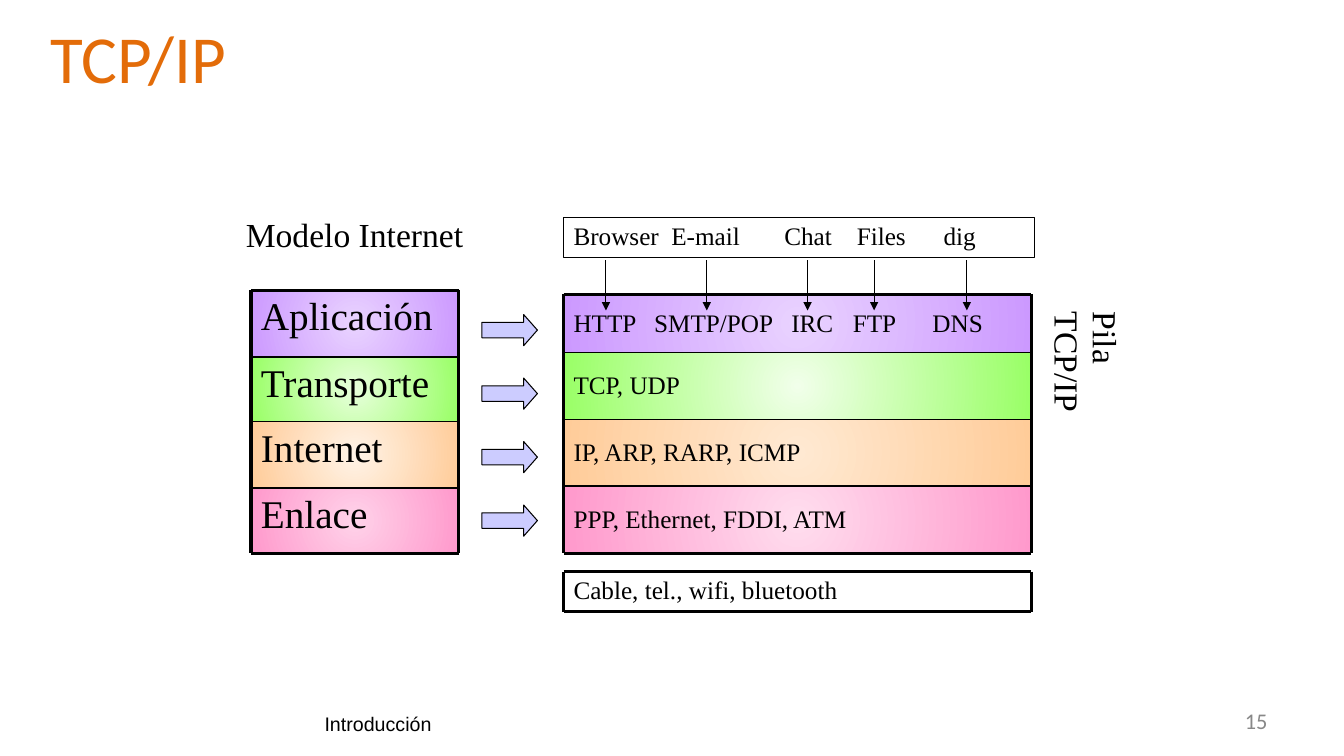
"""Build the slide that compares the Internet model with the TCP/IP stack."""
from lxml import etree
from pptx import Presentation
from pptx.dml.color import RGBColor
from pptx.enum import shapes, text
from pptx.oxml import ns
from pptx.util import Inches, Pt

BLACK = RGBColor(0x00, 0x00, 0x00)
ORANGE = RGBColor(0xE3, 0x6C, 0x09)
GREY = RGBColor(0x88, 0x88, 0x88)
LAVENDER = RGBColor(0xCC, 0xCC, 0xFF)
PURPLE = RGBColor(0xCC, 0x99, 0xFF)
GREEN = RGBColor(0x99, 0xFF, 0x66)
PEACH = RGBColor(0xFF, 0xCC, 0x99)
PINK = RGBColor(0xFF, 0x99, 0xCC)
PALE_PURPLE = RGBColor(0xE9, 0xD3, 0xFF)
PALE_GREEN = RGBColor(0xE7, 0xFF, 0xDB)
PALE_PEACH = RGBColor(0xFF, 0xF3, 0xE7)
PALE_PINK = RGBColor(0xFF, 0xD2, 0xE9)
STACK_PURPLE = RGBColor(0xE9, 0xD2, 0xFF)
STACK_GREEN = RGBColor(0xF1, 0xFF, 0xEA)
STACK_PEACH = RGBColor(0xFF, 0xE9, 0xD2)
STACK_PINK = RGBColor(0xFF, 0xDD, 0xEE)

TOP, MIDDLE, BOTTOM = (text.MSO_ANCHOR.TOP, text.MSO_ANCHOR.MIDDLE,
                       text.MSO_ANCHOR.BOTTOM)
STACK_LEFT, STACK_WIDTH = 5.59, 4.64


def child(parent, tag, **attributes):
    """Append a DrawingML element to its parent."""
    return etree.SubElement(parent, ns.qn(tag), attributes)


def write(shape, words, size=18, font="Times New Roman", color=BLACK,
          anchor=TOP, align=text.PP_ALIGN.LEFT, spacing=0.95, tabs=()):
    """Put one formatted paragraph into a shape."""
    frame = shape.text_frame
    frame.word_wrap = True
    frame.vertical_anchor = anchor
    paragraph = frame.paragraphs[0]
    paragraph.alignment = align
    paragraph.line_spacing = spacing
    if tabs:
        stops = child(paragraph._p.get_or_add_pPr(), "a:tabLst")
        for stop in tabs:
            child(stops, "a:tab", pos=str(Inches(stop)), algn="l")
    run = paragraph.add_run()
    run.text = words
    run.font.size = Pt(size)
    run.font.name = font
    run.font.color.rgb = color


def label(slide, box, words, rotation=0, **style):
    """Add a text box."""
    caption = slide.shapes.add_textbox(*map(Inches, box))
    caption.rotation = rotation
    write(caption, words, **style)


def block(slide, kind, box, fill=None, outlined=False):
    """Add a flat preset shape with an optional fill and thin outline."""
    shape = slide.shapes.add_shape(kind, *map(Inches, box))
    shape.shadow.inherit = False
    if fill is None:
        shape.fill.background()
    else:
        shape.fill.solid()
        shape.fill.fore_color.rgb = fill
    if outlined:
        shape.line.color.rgb = BLACK
        shape.line.width = Pt(0.75)
    else:
        shape.line.fill.background()
    return shape


def glow(shape, center, edge):
    """Fill a shape with a circular gradient."""
    shape.fill.gradient()
    for stop, color, position in zip(shape.fill.gradient_stops,
                                     (center, edge), (0, 1)):
        stop.color.rgb = color
        stop.position = position
    gradient = shape._element.spPr.find(ns.qn("a:gradFill"))
    gradient.remove(gradient.find(ns.qn("a:lin")))
    circle = child(gradient, "a:path", path="circle")
    child(circle, "a:fillToRect", l="50000", t="50000", r="50000", b="50000")


def line(slide, start, end, width, arrow=False):
    """Draw a black line, with an arrowhead at its end if asked."""
    connector = slide.shapes.add_connector(
        shapes.MSO_CONNECTOR.STRAIGHT, *map(Inches, start + end))
    connector.line.color.rgb = BLACK
    connector.line.width = Pt(width)
    if arrow:
        child(connector.line._get_or_add_ln(), "a:tailEnd", type="triangle")
    child(connector._element.spPr, "a:effectLst")


def layers(slide, left, width, edges, rows, **style):
    """Stack rows between the edges and rule them with a heavy frame."""
    for top, bottom, (words, colors, tabs) in zip(edges, edges[1:], rows):
        row = block(slide, shapes.MSO_SHAPE.RECTANGLE,
                    (left, top, width, bottom - top))
        if colors:
            glow(row, *colors)
        write(row, words, tabs=tabs, **style)
    right = left + width
    for y in edges:
        outer = y in (edges[0], edges[-1])
        line(slide, (left, y), (right, y), 2.25 if outer else 1)
    for x in (left, right):
        line(slide, (x, edges[0]), (x, edges[-1]), 2.25)


def main():
    """Build and save the slide."""
    deck = Presentation()
    deck.slide_width, deck.slide_height = Inches(13.33), Inches(7.5)
    slide = deck.slides.add_slide(deck.slide_layouts[6])

    label(slide, (0.4, 0.19, 8.47, 0.84), "TCP/IP", size=48, font="Calibri",
          color=ORANGE, anchor=MIDDLE, spacing=0.9)
    label(slide, (2.34, 2.1, 2.36, 0.5), "Modelo Internet", size=24)
    layers(slide, 2.49, 2.06, (2.88, 3.54, 4.18, 4.84, 5.49), (
        ("Aplicación", (PALE_PURPLE, PURPLE), ()),
        ("Transporte", (PALE_GREEN, GREEN), ()),
        ("Internet", (PALE_PEACH, PEACH), ()),
        ("Enlace", (PALE_PINK, PINK), ()),
    ), size=28)
    layers(slide, STACK_LEFT, STACK_WIDTH, (2.92, 3.5, 4.16, 4.82, 5.49), (
        ("HTTP\tSMTP/POP\tIRC\tFTP\tDNS", (STACK_PURPLE, PURPLE),
         (0.8, 2.16, 2.77, 3.56)),
        ("TCP, UDP", (STACK_GREEN, GREEN), ()),
        ("IP, ARP, RARP, ICMP", (STACK_PEACH, PEACH), ()),
        ("PPP, Ethernet, FDDI, ATM", (STACK_PINK, PINK), ()),
    ), anchor=MIDDLE)
    layers(slide, STACK_LEFT, STACK_WIDTH, (5.67, 6.07),
           (("Cable, tel., wifi, bluetooth", None, ()),))

    programs = block(slide, shapes.MSO_SHAPE.RECTANGLE,
                     (STACK_LEFT, 2.16, 4.67, 0.4), outlined=True)
    write(programs, "Browser\tE-mail\tChat\tFiles\tdig",
          tabs=(0.97, 2.09, 2.81, 3.67))
    for x in (6.01, 7.01, 8.01, 8.67, 9.59):
        line(slide, (x, 2.58), (x, 3.08), 0.75, arrow=True)
    for level in range(4):
        pointer = block(slide, shapes.MSO_SHAPE.RIGHT_ARROW,
                        (4.78, 3.12 + 0.63 * level, 0.55, 0.31),
                        fill=LAVENDER, outlined=True)
        pointer.adjustments[1] = 0.44

    label(slide, (9.77, 3.56, 1.71, 0.58), "Pila TCP/IP", rotation=90,
          size=24, anchor=BOTTOM)
    label(slide, (3.12, 6.83, 6.69, 0.52), "Introducción", size=14,
          font="Arial", anchor=BOTTOM, spacing=1.0)
    label(slide, (9.56, 6.95, 3.11, 0.4), "15", size=16, font="Calibri",
          color=GREY, anchor=MIDDLE, align=text.PP_ALIGN.RIGHT, spacing=1.0)
    deck.save("out.pptx")


if __name__ == "__main__":
    main()
